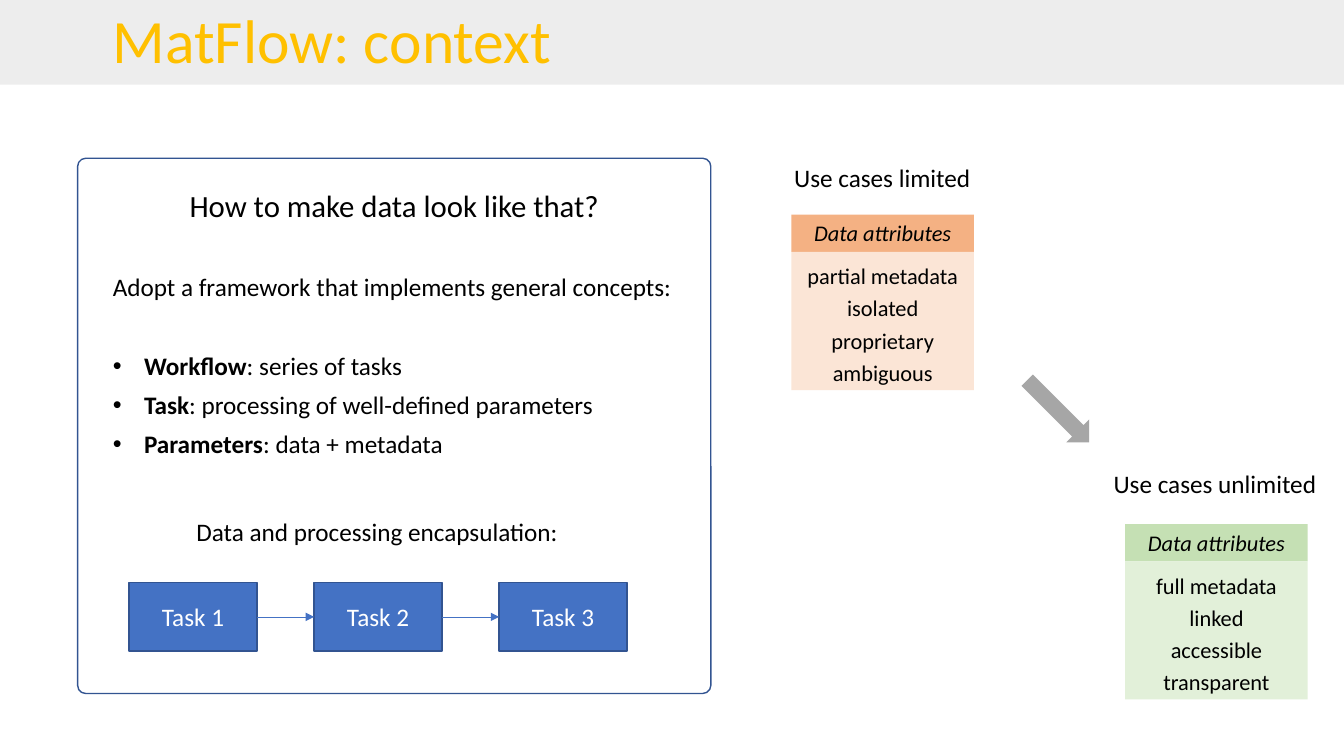
from lxml import etree
from pptx import Presentation
from pptx.dml.color import RGBColor
from pptx.enum import shapes, text
from pptx.oxml.ns import qn
from pptx.util import Inches, Pt

BLACK = RGBColor(0x00, 0x00, 0x00)
WHITE = RGBColor(0xFF, 0xFF, 0xFF)
GOLD = RGBColor(0xFF, 0xC0, 0x00)
BANNER_GREY = RGBColor(0xED, 0xED, 0xED)
ARROW_GREY = RGBColor(0xA6, 0xA6, 0xA6)
BLUE = RGBColor(0x44, 0x72, 0xC4)
DARK_BLUE = RGBColor(0x32, 0x54, 0x91)
ORANGE = RGBColor(0xF4, 0xB1, 0x83)
PALE_ORANGE = RGBColor(0xFB, 0xE5, 0xD6)
GREEN = RGBColor(0xC5, 0xE0, 0xB4)
PALE_GREEN = RGBColor(0xE2, 0xF0, 0xD9)
PRESET = shapes.MSO_SHAPE
CENTER = text.PP_ALIGN.CENTER

prs = Presentation()
prs.slide_width, prs.slide_height = Inches(13.33), Inches(7.5)
slide = prs.slides.add_slide(prs.slide_layouts[6])


def add_block(preset, left, top, width, height, fill=None, outline=None):
    block = slide.shapes.add_shape(
        preset, Inches(left), Inches(top), Inches(width), Inches(height))
    block.shadow.inherit = False
    if fill is None:
        block.fill.background()
    else:
        block.fill.solid()
        block.fill.fore_color.rgb = fill
    if outline is None:
        block.line.fill.background()
    else:
        block.line.color.rgb = outline
        block.line.width = Pt(1)
    return block


def write(holder, lines, size, color=BLACK, align=CENTER, spacing=1.0,
          anchor=text.MSO_ANCHOR.TOP, italic=False):
    frame = holder.text_frame
    frame.word_wrap = True
    frame.vertical_anchor = anchor
    frame.text = "\n".join(lines)
    for paragraph in frame.paragraphs:
        paragraph.alignment = align
        paragraph.line_spacing = spacing
        paragraph.font.name = "Calibri"
        paragraph.font.size = Pt(size)
        paragraph.font.color.rgb = color
        paragraph.font.italic = italic
    return frame


# Banner with slide title
add_block(PRESET.RECTANGLE, 0, 0, 13.33, 0.84, BANNER_GREY)
title = slide.shapes.add_textbox(Inches(1.02), Inches(0.05), Inches(11.3), Inches(0.74))
write(title, ["MatFlow: context"], 44, GOLD, text.PP_ALIGN.LEFT, 0.9)

# Framework panel and its heading
panel = add_block(PRESET.ROUNDED_RECTANGLE, 0.77, 1.57, 6.28, 5.31, outline=DARK_BLUE)
panel.adjustments[0] = 0.015
question = slide.shapes.add_textbox(Inches(0.77), Inches(1.57), Inches(6.28), Inches(0.97))
write(question, ["How to make data look like that?"], 22, spacing=0.9,
      anchor=text.MSO_ANCHOR.MIDDLE)

# Concepts: introduction followed by bullets
concepts = slide.shapes.add_textbox(Inches(1.02), Inches(2.55), Inches(5.81), Inches(2.04))
concepts_frame = write(concepts, ["Adopt a framework that implements general concepts:"],
                       18, align=text.PP_ALIGN.LEFT, spacing=1.3)
for term, meaning in [("Workflow", ": series of tasks"),
                      ("Task", ": processing of well-defined parameters"),
                      ("Parameters", ": data + metadata")]:
    bullet = concepts_frame.add_paragraph()
    properties = bullet._p.get_or_add_pPr()
    properties.set("marL", str(Inches(0.31)))
    properties.set("indent", str(-Inches(0.31)))
    etree.SubElement(properties, qn("a:buFont")).set("typeface", "Arial")
    etree.SubElement(properties, qn("a:buChar")).set("char", "•")
    bullet.line_spacing = 1.3
    if term == "Workflow":
        bullet.space_before = Pt(28.5)
    bullet.font.name = "Calibri"
    bullet.font.size = Pt(18)
    bullet.font.color.rgb = BLACK
    term_run = bullet.add_run()
    term_run.text = term
    term_run.font.bold = True
    bullet.add_run().text = meaning

# Task chain
chain_label = slide.shapes.add_textbox(Inches(1.67), Inches(5.01), Inches(4.14), Inches(0.44))
write(chain_label, ["Data and processing encapsulation:"], 18, spacing=1.2)
tasks = []
for index in range(3):
    task = add_block(PRESET.RECTANGLE, 1.28 + 1.835 * index, 5.78, 1.27, 0.68,
                     BLUE, DARK_BLUE)
    write(task, [f"Task {index + 1}"], 18, WHITE, anchor=text.MSO_ANCHOR.MIDDLE)
    tasks.append(task)
for source, target in zip(tasks, tasks[1:]):
    link = slide.shapes.add_connector(shapes.MSO_CONNECTOR.STRAIGHT, 0, 0, 0, 0)
    link.begin_connect(source, 3)
    link.end_connect(target, 1)
    link.line.color.rgb = BLUE
    link.line.width = Pt(0.5)
    etree.SubElement(link.line._get_or_add_ln(), qn("a:tailEnd")).set("type", "triangle")
    etree.SubElement(link._element.spPr, qn("a:effectLst"))

# Data attribute cards, before and after
cards = [
    ("Use cases limited", 7.69, 1.56, 2.12, 7.85, 2.13, ORANGE, PALE_ORANGE,
     ["partial metadata", "isolated", "proprietary", "ambiguous"]),
    ("Use cases unlimited", 10.93, 4.6, 2.24, 11.16, 5.2, GREEN, PALE_GREEN,
     ["full metadata", "linked", "accessible", "transparent"]),
]
for (caption, caption_left, caption_top, caption_width,
     left, top, header_fill, body_fill, attributes) in cards:
    caption_box = slide.shapes.add_textbox(Inches(caption_left), Inches(caption_top),
                                           Inches(caption_width), Inches(0.4))
    caption_frame = write(caption_box, [caption], 18)
    caption_frame.margin_left = caption_frame.margin_right = Inches(0.05)
    header = add_block(PRESET.RECTANGLE, left, top, 1.81, 0.37, header_fill)
    write(header, ["Data attributes"], 16, italic=True)
    body = add_block(PRESET.RECTANGLE, left, top + 0.37, 1.81, 1.37, body_fill)
    write(body, attributes, 16, spacing=1.2)

# Arrow from limited to unlimited
arrow = add_block(PRESET.RIGHT_ARROW, 10.06, 3.92, 0.87, 0.32, ARROW_GREY)
arrow.rotation = 45

prs.save("out.pptx")
